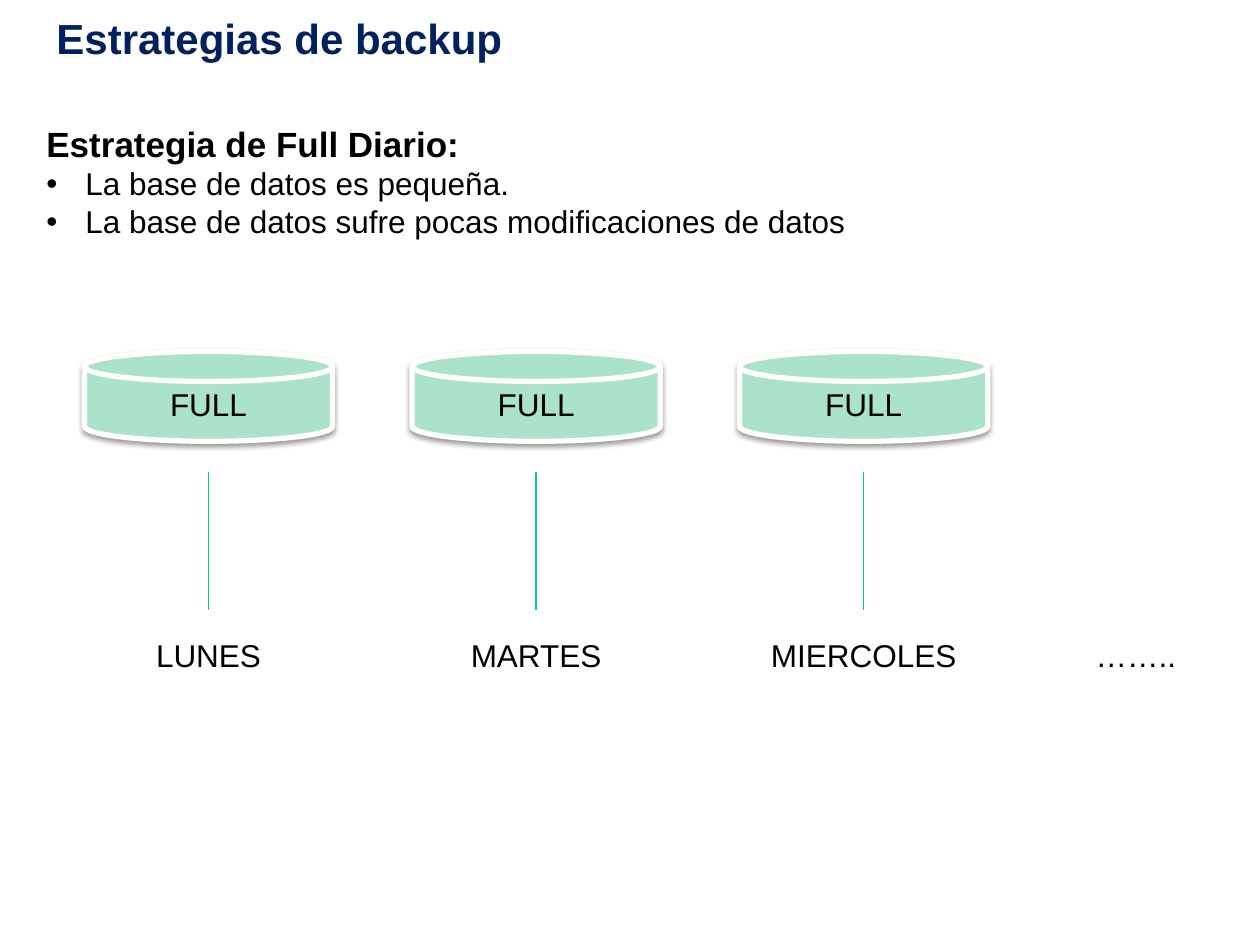
from lxml import etree
from pptx import Presentation
from pptx import util as u
from pptx.dml.color import RGBColor
from pptx.enum import shapes, text
from pptx.oxml import parse_xml
from pptx.oxml.ns import nsdecls, qn

WIDTH, HEIGHT = 10, 7.5
FIRST_DAY, DAY_STEP, DAY_WIDTH = 0.067, 0.26, 0.197


def color(hex_string):
    return RGBColor.from_string(hex_string)


class BackupSlide:
    """Holds the style and the slide; lengths are shares of the slide's size."""

    font, ink, navy = "Arial", "000000", "002060"
    mint, white, green = "AAE2CA", "FFFFFF", "00C896"

    def __init__(self, deck):
        self.slide = deck.slides.add_slide(deck.slide_layouts[6])

    def place(self, *shares):
        sizes = (WIDTH, HEIGHT, WIDTH, HEIGHT)
        return [u.Inches(share * size) for share, size in zip(shares, sizes)]

    def add_words(self, paragraph, words, size=18, bold=False, ink=None):
        run = paragraph.add_run()
        run.text = words
        run.font.name, run.font.size, run.font.bold = self.font, u.Pt(size), bold
        run.font.color.rgb = color(ink or self.ink)

    def box(self, *shares):
        frame = self.slide.shapes.add_textbox(*self.place(*shares)).text_frame
        frame.word_wrap = True
        return frame

    def bullet(self, frame, words):
        paragraph = frame.add_paragraph()
        properties = paragraph._p.get_or_add_pPr()
        indent = u.Inches(0.31)
        properties.set("marL", str(indent))
        properties.set("indent", str(-indent))
        etree.SubElement(properties, qn("a:buFont")).set("typeface", self.font)
        etree.SubElement(properties, qn("a:buChar")).set("char", "•")
        self.add_words(paragraph, words)

    def label(self, left, words):
        paragraph = self.box(left, 0.667, DAY_WIDTH, 0.053).paragraphs[0]
        paragraph.alignment = text.PP_ALIGN.CENTER
        self.add_words(paragraph, words)

    def disk(self, left, words):
        disk = self.slide.shapes.add_shape(
            shapes.MSO_SHAPE.FLOWCHART_MAGNETIC_DISK,
            *self.place(left, 0.372, DAY_WIDTH, 0.095))
        disk.fill.solid()
        disk.fill.fore_color.rgb = color(self.mint)
        disk.line.color.rgb = color(self.white)
        disk.line.width = u.Pt(3)
        disk.shadow.inherit = False
        disk._element.spPr.find(qn("a:effectLst")).append(parse_xml(
            f'<a:outerShdw {nsdecls("a")} blurRad="{u.Pt(3.1)}" dist="{u.Pt(1.6)}" '
            'dir="5400000" rotWithShape="0"><a:srgbClr val="000000">'
            '<a:alpha val="38000"/></a:srgbClr></a:outerShdw>'))
        disk.text_frame.word_wrap = True
        disk.text_frame.vertical_anchor = text.MSO_ANCHOR.MIDDLE
        paragraph = disk.text_frame.paragraphs[0]
        paragraph.alignment = text.PP_ALIGN.CENTER
        self.add_words(paragraph, words)

    def stem(self, center):
        stem = self.slide.shapes.add_connector(
            shapes.MSO_CONNECTOR.STRAIGHT, *self.place(center, 0.499, center, 0.645))
        stem.line.color.rgb = color(self.green)
        stem.line.width = u.Pt(0.75)
        etree.SubElement(stem._element.spPr, qn("a:effectLst"))


def main():
    deck = Presentation()
    deck.slide_width, deck.slide_height = u.Inches(WIDTH), u.Inches(HEIGHT)
    backup = BackupSlide(deck)

    title = backup.box(0.035, 0.007, 0.883, 0.068)
    backup.add_words(title.paragraphs[0], "Estrategias de backup", 24, True, backup.navy)

    strategy = backup.box(0.027, 0.123, 0.946, 0.139)
    backup.add_words(strategy.paragraphs[0], "Estrategia de Full Diario:", 20, True)
    for reason in ("La base de datos es pequeña.",
                   "La base de datos sufre pocas modificaciones de datos"):
        backup.bullet(strategy, reason)

    for column, day in enumerate(("LUNES", "MARTES", "MIERCOLES")):
        left = FIRST_DAY + column * DAY_STEP
        backup.disk(left, "FULL")
        backup.stem(left + DAY_WIDTH / 2)
        backup.label(left, day)
    backup.label(1 - DAY_WIDTH, "……..")

    deck.save("out.pptx")


if __name__ == "__main__":
    main()
